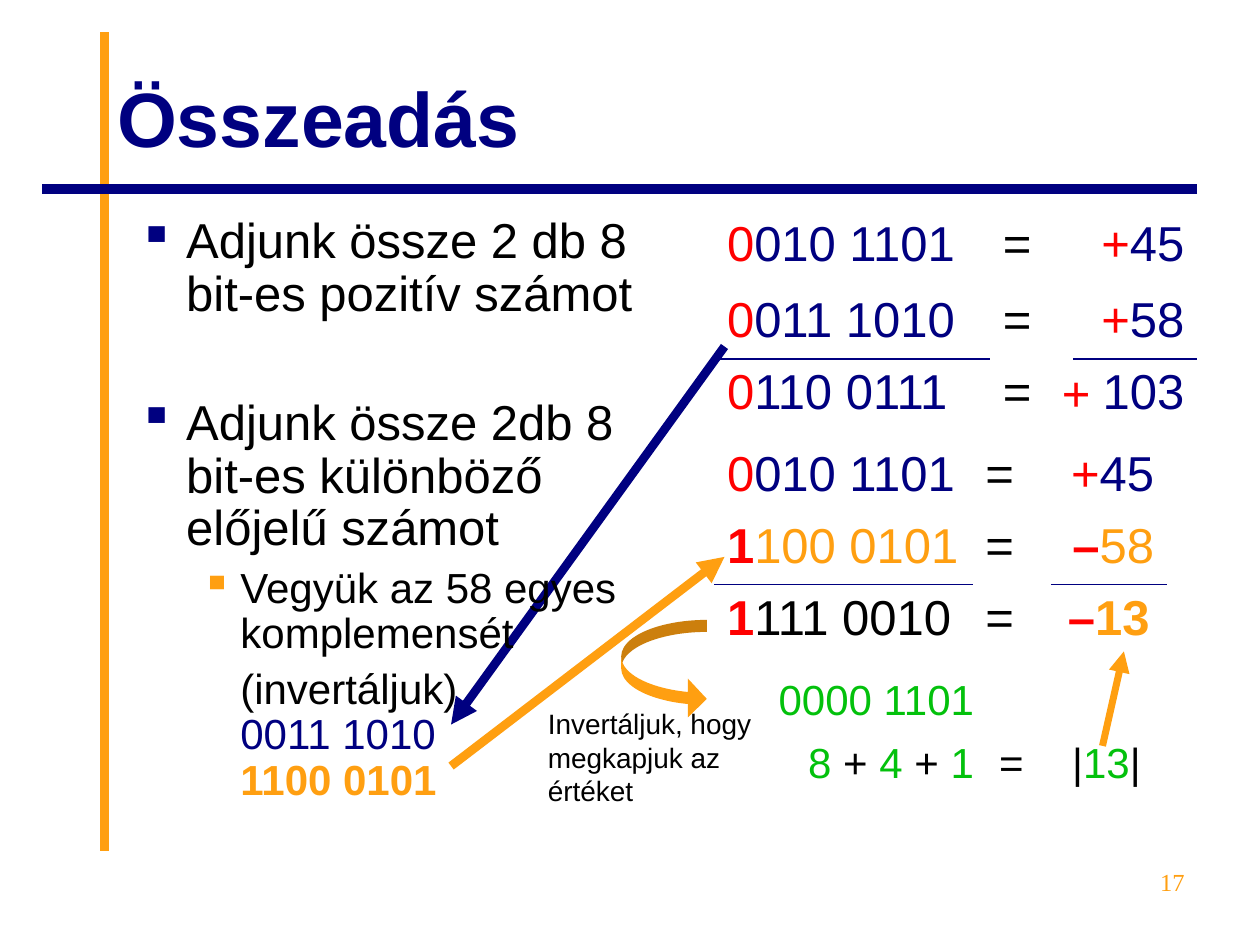
from lxml.etree import SubElement as Sub
from pptx import Presentation
from pptx.dml.color import RGBColor as RGB
from pptx.enum.shapes import MSO_CONNECTOR as CONN, MSO_SHAPE as SHAPE
from pptx.enum.text import MSO_ANCHOR as ANCHOR, MSO_AUTO_SIZE as AUTO, PP_ALIGN as ALIGN
from pptx.oxml import parse_xml
from pptx.oxml.ns import nsdecls, qn
from pptx.util import Pt

PX = 9144
HEX = {"navy": "000080", "gold": "FF9F11", "red": "FF0000",
       "green": "03C10C", "black": "000000"}
PLAIN = "{2D5ABB26-0587-4C30-8999-92F81FD0307C}"
LEFT, MID, RIGHT = ALIGN.LEFT, ALIGN.CENTER, ALIGN.RIGHT


def px(*nums):
    return [n * PX for n in nums]


def tint(name):
    return RGB.from_string(HEX[name])


def style(para, size, hue="black", face="Arial", bold=False):
    font = para.font
    font.name, font.size, font.bold = face, Pt(size), bold
    font.color.rgb = tint(hue)


def write(para, runs):
    for text, hue, *bold in runs:
        run = para.add_run()
        run.text = text
        run.font.color.rgb = tint(hue)
        if bold:
            run.font.bold = True


def frame(slide, box):
    text = slide.shapes.add_textbox(*px(*box)).text_frame
    text.word_wrap = True
    return text


def label(slide, box, text, size, hue="black", face="Arial", side=LEFT):
    para = frame(slide, box).paragraphs[0]
    para.text, para.alignment = text, side
    style(para, size, hue, face)


def line(slide, start, end, hue, width, arrow=False):
    link = slide.shapes.add_connector(CONN.STRAIGHT, *px(*start, *end))
    link.line.color.rgb = tint(hue)
    link.line.width = Pt(width)
    props = link._element.spPr
    if arrow:
        Sub(props.find(qn("a:ln")), qn("a:tailEnd"), type="triangle")
    Sub(props, qn("a:effectLst"))


def title(slide, box, text):
    head = slide.shapes.title
    head.left, head.top, head.width, head.height = px(*box)
    body = head.text_frame
    body.text = text
    body.auto_size, body.vertical_anchor = AUTO.NONE, ANCHOR.MIDDLE
    para = body.paragraphs[0]
    para.alignment = LEFT
    style(para, 44, "navy", bold=True)


def item(para, size, left, hang, gap, mark=None):
    para.line_spacing = 0.9
    para.space_before = Pt(gap)
    props = para._p.get_or_add_pPr()
    props.set("marL", str(left * PX))
    props.set("indent", str(-hang * PX))
    if mark:
        Sub(Sub(props, qn("a:buClr")), qn("a:srgbClr"), val=HEX[mark])
        Sub(props, qn("a:buChar"), char="▪")
    style(para, size)


def points(slide, box):
    text = frame(slide, box)
    rows = [
        ("Adjunk össze 2 db 8 bit-es pozitív számot", 28, 38, 38, 0, "navy"),
        ("Adjunk össze 2db 8 bit-es különböző előjelű számot", 28, 38, 38, 43, "navy"),
        ("Vegyük az 58 egyes komplemensét", 24, 81, 31, 6, "gold"),
    ]
    for n, (words, *look) in enumerate(rows):
        para = text.add_paragraph() if n else text.paragraphs[0]
        para.text = words
        item(para, *look)
    para = text.add_paragraph()
    item(para, 24, 81, 0, 6)
    write(para, [("(invertáljuk)", "black")])
    para.add_line_break()
    write(para, [("0011 1010", "navy")])
    para.add_line_break()
    write(para, [("1100 0101", "gold", True)])


def rule(cell):
    cell._tc.get_or_add_tcPr().insert(0, parse_xml(
        f'<a:lnB {nsdecls("a")} w="9525"><a:solidFill>'
        f'<a:srgbClr val="{HEX["navy"]}"/></a:solidFill></a:lnB>'))


def sums(slide, box, cols, highs, rows, sides, size, ruled=None):
    table = slide.shapes.add_table(len(rows), len(cols), *px(*box)).table
    table.first_row = table.horz_banding = False
    table._tbl.tblPr.find(qn("a:tableStyleId")).text = PLAIN
    for col, wide in zip(table.columns, px(*cols)):
        col.width = wide
    for r, (row, high) in enumerate(zip(rows, px(*highs))):
        table.rows[r].height = high
        for c, runs in enumerate(row):
            cell = table.cell(r, c)
            cell.fill.background()
            para = cell.text_frame.paragraphs[0]
            para.alignment = sides[r][c]
            style(para, size)
            write(para, runs)
            if r == ruled and c != 1:
                rule(cell)


def hint(slide, box):
    x, y, w, h = box
    bend = slide.shapes.add_shape(SHAPE.CURVED_RIGHT_ARROW, *px(x + 68, y, 68, 78))
    bend.shadow.inherit = False
    bend.fill.solid()
    bend.fill.fore_color.rgb = tint("gold")
    bend.line.fill.background()
    for n, size in enumerate((0.14, 0.45, 0.22)):
        bend.adjustments[n] = size
    label(slide, (x, y + 64, w, h - 64), "Invertáljuk, hogy megkapjuk az értéket", 16)


def main():
    deck = Presentation()
    deck.slide_width, deck.slide_height = px(1000, 750)
    slide = deck.slides.add_slide(deck.slide_layouts[5])
    line(slide, (83, 675), (83, 25), "gold", 5.5)
    line(slide, (950, 150), (33, 150), "navy", 5.5)
    line(slide, (575, 275), (358, 575), "navy", 5, True)
    title(slide, (83, 30, 867, 125), "Összeadás")
    points(slide, (100, 167, 417, 495))

    same = [("=", "black")]
    first = [("0", "red"), ("010 1101", "navy")]
    plus = [("+", "red"), ("45", "navy")]
    ends = [LEFT, LEFT, RIGHT]
    mixed = [
        [first, same, plus],
        [[("1", "red", True), ("100 0101", "gold")], same,
         [("–", "red", True), ("58", "gold")]],
        [[("1", "red", True), ("111 0010", "black")], same,
         [("–", "red", True), ("13", "gold", True)]],
    ]
    sums(slide, (567, 350, 359, 171), (205, 62, 92), (57, 57, 57), mixed,
         [ends, ends, [LEFT, LEFT, MID]], 28, 1)
    whole = [
        [first, same, plus],
        [[("0", "red"), ("011 1010", "navy")], same, [("+", "red"), ("58", "navy")]],
        [[("0", "red"), ("110 0111", "navy")], same, [("103", "navy")]],
    ]
    sums(slide, (567, 167, 383, 175), (219, 66, 98), (61, 57, 57), whole,
         [ends] * 3, 28, 1)
    add = (" + ", "black")
    check = [
        [[("0000 1101", "green")], [], []],
        [[("8", "green"), add, ("4", "green"), add, ("1", "green")], same,
         [("|", "black"), ("13", "green"), ("|", "black")]],
    ]
    sums(slide, (575, 533, 358, 100), (208, 58, 92), (50, 50), check,
         [[RIGHT, LEFT, LEFT]] * 2, 24)

    line(slide, (358, 608), (575, 442), "gold", 5, True)
    hint(slide, (425, 492, 183, 154))
    line(slide, (875, 592), (892, 517), "gold", 4, True)
    label(slide, (833, 283, 42, 57), "+", 28, "red")
    label(slide, (717, 683, 233, 52), "17", 14, "gold", "Times New Roman", RIGHT)
    deck.save("out.pptx")


if __name__ == "__main__":
    main()
